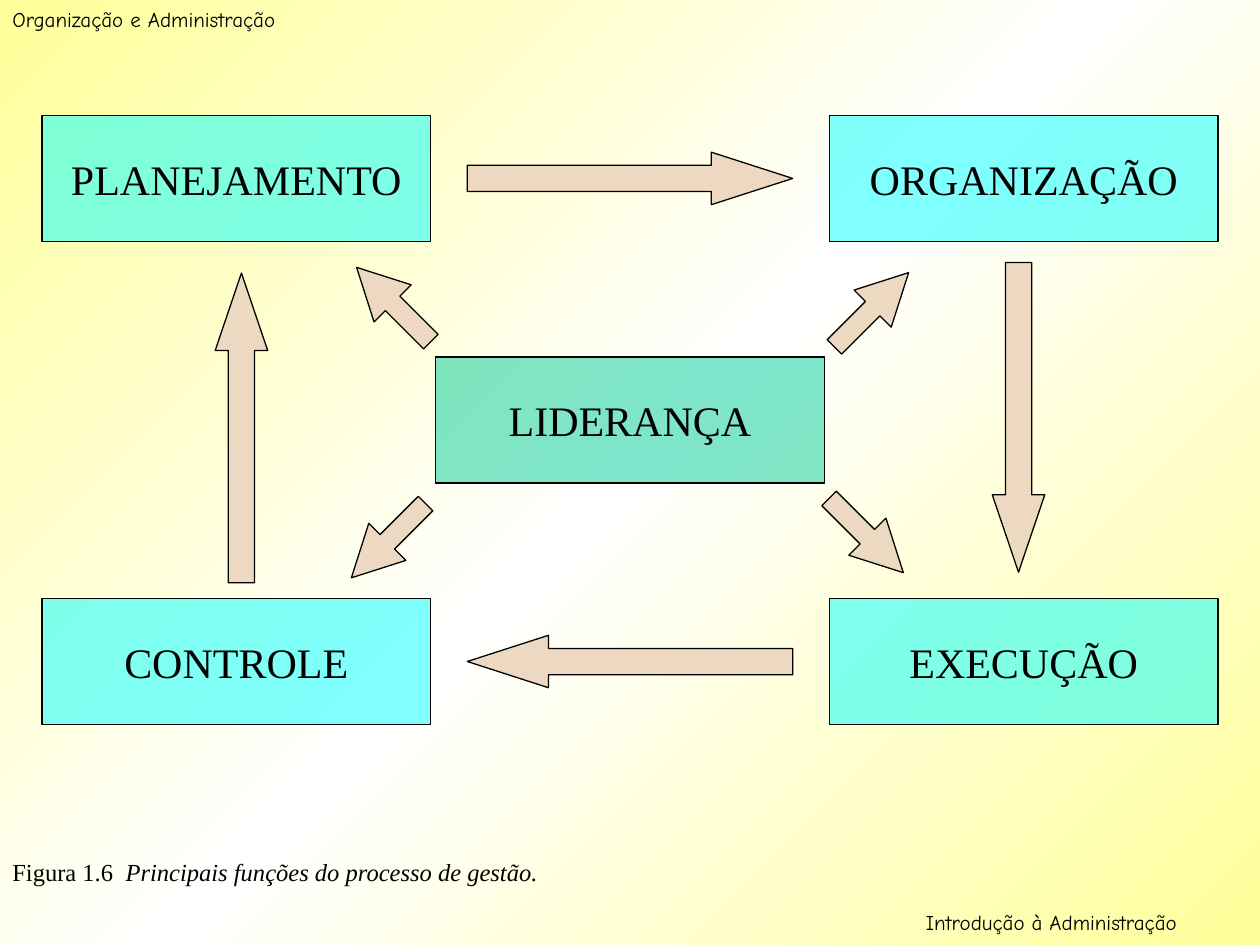
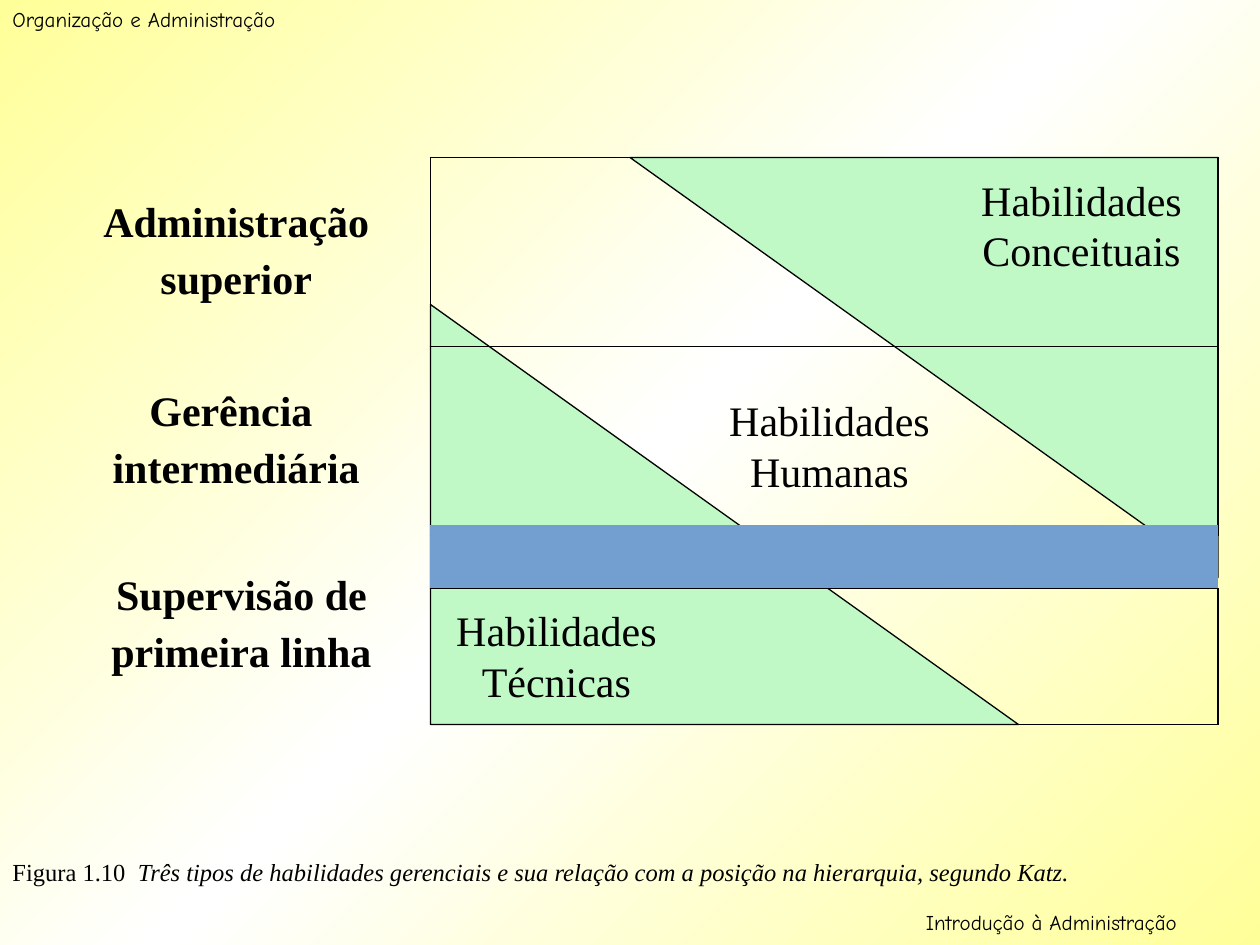
from copy import deepcopy

from lxml import etree
from pptx import Presentation
from pptx.dml.color import RGBColor
from pptx.enum.shapes import MSO_SHAPE
from pptx.enum.text import MSO_ANCHOR, MSO_AUTO_SIZE, PP_ALIGN
from pptx.oxml import parse_xml
from pptx.oxml.ns import nsdecls, qn
from pptx.util import Inches, Pt

RECT = MSO_SHAPE.RECTANGLE
TRIANGLE = MSO_SHAPE.RIGHT_TRIANGLE
RIGHT_ARROW = MSO_SHAPE.RIGHT_ARROW
LEFT_ARROW = MSO_SHAPE.LEFT_ARROW
LEFT, CENTER = PP_ALIGN.LEFT, PP_ALIGN.CENTER
TOP, MIDDLE = MSO_ANCHOR.TOP, MSO_ANCHOR.MIDDLE
FIT = MSO_AUTO_SIZE.SHAPE_TO_FIT_TEXT

COLORS = {
    "ink": "000000",
    "yellow": "FFFF99",
    "white": "FFFFFF",
    "cyan": "00FFFF",
    "teal": "00CC99",
    "sand": "EDD9C1",
    "mint": "C1F9C6",
    "blue": "729FCF",
}
SERIF, HAND = "Times New Roman", "Comic Neue"
COLS, ROWS = 120, 90
THICK, THIN, OUTLINE = 1.08, 0.45, 0.74


def rgb(name):
    return RGBColor.from_string(COLORS[name])


class Deck:
    def __init__(self):
        self.prs = Presentation()
        self.prs.slide_width, self.prs.slide_height = Inches(10), Inches(7.5)
        self.set_background()

    def set_background(self):
        fill = self.prs.slide_master.background.fill
        fill.gradient()
        fill.gradient_angle = 135
        first, last = fill.gradient_stops
        first.color.rgb, first.position = rgb("yellow"), 0
        last.color.rgb, last.position = rgb("white"), 0.5
        gs_list = self.prs.slide_master.element.find(".//" + qn("a:gsLst"))
        end = deepcopy(gs_list[0])
        end.set("pos", "100000")
        gs_list.append(end)

    def add_slide(self, number, caption, caption_cols):
        self.slide = self.prs.slides.add_slide(self.prs.slide_layouts[6])
        self.text("Organização e Administração", 0, 0, 52, 3.6, 12, 7.5, HAND)
        self.text("Introdução à Administração", 87, 86, 33, 3.6, 12, 7.5, HAND)
        p = self.text(f"Figura {number}  ", 0, 81, caption_cols, 4.1, 14, 8.8)
        r = p.add_run()
        r.text = caption
        r.font.italic = True

    def box(self, x, y, w, h):
        col = self.prs.slide_width / COLS
        row = self.prs.slide_height / ROWS
        return [round(v) for v in (x * col, y * row, w * col, h * row)]

    def style(self, p, size, align=LEFT, before=0, font=SERIF, bold=False):
        p.alignment, p.space_before = align, Pt(before)
        p.font.name, p.font.size, p.font.bold = font, Pt(size), bold
        p.font.color.rgb = rgb("ink")

    def text(self, words, x, y, w, h, size, before, font=SERIF,
             align=LEFT, anchor=TOP):
        tf = self.slide.shapes.add_textbox(*self.box(x, y, w, h)).text_frame
        tf.word_wrap, tf.auto_size, tf.vertical_anchor = True, FIT, anchor
        p = tf.paragraphs[0]
        p.add_run().text = words
        self.style(p, size, align, before, font)
        return p

    def skill(self, words, x, y):
        self.text(words, x, y, 24, 10.8, 24, 15, align=CENTER, anchor=MIDDLE)

    def shape(self, kind, x, y, w, h, color, rotation=0):
        sp = self.slide.shapes.add_shape(kind, *self.box(x, y, w, h))
        sp.shadow.inherit = False
        sp.rotation = rotation
        sp.fill.solid()
        sp.fill.fore_color.rgb = rgb(color)
        sp.line.color.rgb, sp.line.width = rgb("ink"), Pt(OUTLINE)
        return sp

    def function(self, words, x, y, color="cyan"):
        sp = self.shape(RECT, x, y, 37, 12, color)
        clr = sp.fill._xPr.find(qn("a:solidFill"))[0]
        etree.SubElement(clr, qn("a:alpha")).set("val", "50000")
        tf = sp.text_frame
        tf.word_wrap, tf.vertical_anchor = False, MIDDLE
        p = tf.paragraphs[0]
        p.add_run().text = words
        self.style(p, 24, CENTER)

    def arrow(self, kind, cx, cy, length, rotation, shaft, head):
        sp = self.shape(kind, cx - length / 2, cy - 2.5, length, 5, "sand", rotation)
        sp.adjustments[0], sp.adjustments[1] = shaft, head

    def borders(self, cell, **widths):
        tc_pr = cell._tc.get_or_add_tcPr()
        for i, side in enumerate("LRTB"):
            width = widths.get(side, 0)
            paint = (f'<a:solidFill><a:srgbClr val="{COLORS["ink"]}"/></a:solidFill>'
                     if width else "<a:noFill/>")
            tc_pr.insert(i, parse_xml(
                f'<a:ln{side} {nsdecls("a")} w="{Pt(width)}">{paint}</a:ln{side}>'))

    def level(self, lines, x, y, widths, heights):
        rows = len(heights)
        frame = self.slide.shapes.add_table(
            rows, 2, *self.box(x, y, sum(widths), sum(heights)))
        table = frame.table
        table.first_row = table.horz_banding = False
        for col, w in zip(table.columns, widths):
            col.width = self.box(0, 0, w, 0)[2]
        for row, h in zip(table.rows, heights):
            row.height = self.box(0, 0, 0, h)[3]
        for cell in table.iter_cells():
            cell.fill.background()
        label = table.cell(0, 0)
        if rows > 1:
            label.merge(table.cell(rows - 1, 0))
        label.vertical_anchor = MIDDLE
        label.text = "\n".join(lines)
        for p in label.text_frame.paragraphs:
            self.style(p, 24, CENTER, 6, bold=True)
        for i in range(rows):
            self.borders(table.cell(i, 0), R=THICK if i == rows - 1 else 0)
        return table


deck = Deck()

deck.add_slide("1.6", "Principais funções do processo de gestão.", 114)
deck.function("PLANEJAMENTO", 4, 11)
deck.function("ORGANIZAÇÃO", 79, 11)
deck.function("EXECUÇÃO", 79, 57)
deck.function("CONTROLE", 4, 57)
deck.function("LIDERANÇA", 41.5, 34, "teal")
cycle = [(60, 17, 31), (97, 39.75, 29.5), (60, 63, 31), (23, 40.75, 29.5)]
for i, (cx, cy, length) in enumerate(cycle):
    deck.arrow(RIGHT_ARROW, cx, cy, length, 90 * i, 0.5, length / 20)
for i, (cx, cy) in enumerate([(37.5, 29), (83, 29.5), (82.5, 51), (37, 51.5)]):
    deck.arrow(LEFT_ARROW, cx, cy, 10, 45 + 90 * i, 0.39, 0.97)

deck.add_slide("1.10", "Três tipos de habilidades gerenciais e sua relação com a "
               "posição na hierarquia, segundo Katz.", 104)
deck.shape(TRIANGLE, 41, 29, 56, 40, "mint")
deck.skill("Habilidades Técnicas", 41, 57)
deck.shape(TRIANGLE, 60, 15, 56, 40, "mint", 180)
deck.skill("Habilidades Conceituais", 91, 16)
top = deck.level(["Administração", "superior"], 4, 15, (37, 75), (18,))
deck.borders(top.cell(0, 1), L=THICK, R=THICK, T=THICK, B=THIN)
middle = deck.level(["Gerência ", "intermediária"], 4, 33, (37, 75), (18,))
deck.borders(middle.cell(0, 1), L=THICK, R=THICK, T=THIN, B=THIN)
base = deck.level(["Supervisão de", "primeira linha"], 5, 50, (36, 75), (6, 13))
band = base.cell(0, 1)
band.fill.solid()
band.fill.fore_color.rgb = rgb("blue")
deck.borders(band, B=THIN)
deck.borders(base.cell(1, 1), L=THICK, R=THICK, T=THIN, B=THICK)
deck.skill("Habilidades Humanas", 67, 37)

deck.prs.save("out.pptx")
